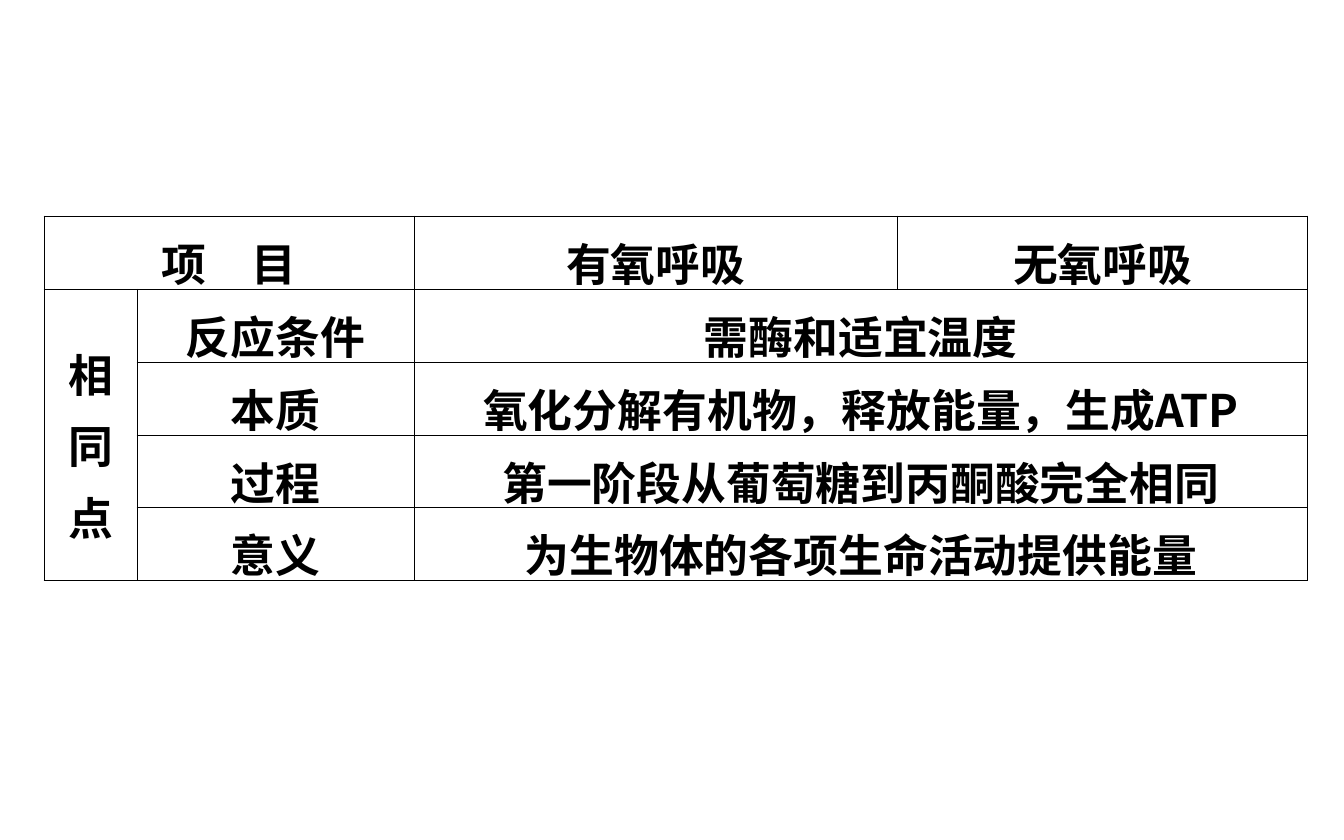
from lxml import etree
from pptx import Presentation
from pptx.dml.color import RGBColor
from pptx.enum import text
from pptx.oxml import ns
from pptx.util import Inches, Pt

BLACK = RGBColor(0x00, 0x00, 0x00)
FONT = "Noto Sans CJK SC"
THIN, THICK = Pt(0.45), Pt(1)

COLUMN_WIDTHS = [0.69, 2.06, 3.6, 3.05]
ROW_HEIGHT = 0.54
HEADINGS = {0: "项　目", 2: "有氧呼吸", 3: "无氧呼吸"}
SHARED_LABEL = "相\n同\n点"
SIMILARITIES = [
    ("反应条件", "需酶和适宜温度"),
    ("本质", "氧化分解有机物，释放能量，生成ATP"),
    ("过程", "第一阶段从葡萄糖到丙酮酸完全相同"),
    ("意义", "为生物体的各项生命活动提供能量"),
]


def set_borders(cell, widths):
    """Draw the cell's edges; widths maps lnL, lnR, lnT, lnB to line widths."""
    properties = cell._tc.get_or_add_tcPr()
    for position, (edge, width) in enumerate(widths.items()):
        line = etree.Element(ns.qn(f"a:{edge}"), w=str(int(width)))
        fill = etree.SubElement(line, ns.qn("a:solidFill"))
        etree.SubElement(fill, ns.qn("a:srgbClr"), val=str(BLACK))
        properties.insert(position, line)


def style_cell(cell):
    cell.fill.background()
    cell.vertical_anchor = text.MSO_ANCHOR.MIDDLE
    # The negative bottom margin keeps the tall lines from stretching the rows.
    cell.margin_top, cell.margin_bottom = Inches(0.05), Inches(-0.04)
    for paragraph in cell.text_frame.paragraphs:
        paragraph.alignment = text.PP_ALIGN.CENTER
        paragraph.line_spacing = 1.1
        for run in paragraph.runs:
            for name, value in {"name": FONT, "size": Pt(24), "bold": True}.items():
                setattr(run.font, name, value)
            run.font.color.rgb = BLACK
            etree.SubElement(run.font._element, ns.qn("a:ea"), typeface=FONT)


def fill_text(table):
    for column, heading in HEADINGS.items():
        table.cell(0, column).text = heading
    table.cell(1, 0).text = SHARED_LABEL
    for row, (aspect, description) in enumerate(SIMILARITIES, start=1):
        table.cell(row, 1).text = aspect
        table.cell(row, 2).text = description


def merge_cells(table):
    table.cell(0, 0).merge(table.cell(0, 1))
    table.cell(1, 0).merge(table.cell(len(SIMILARITIES), 0))
    for row in range(1, len(SIMILARITIES) + 1):
        table.cell(row, 2).merge(table.cell(row, 3))


def add_comparison_table(slide):
    row_count, column_count = len(SIMILARITIES) + 1, len(COLUMN_WIDTHS)
    table = slide.shapes.add_table(
        row_count, column_count, Inches(0.33), Inches(1.61),
        Inches(sum(COLUMN_WIDTHS)), Inches(ROW_HEIGHT * row_count)).table
    table.first_row = table.horz_banding = False
    for column, width in zip(table.columns, COLUMN_WIDTHS):
        column.width = Inches(width)
    for row in table.rows:
        row.height = Inches(ROW_HEIGHT)

    fill_text(table)
    merge_cells(table)
    for row in range(row_count):
        for column in range(column_count):
            cell = table.cell(row, column)
            style_cell(cell)
            right = column + cell.span_width if cell.is_merge_origin else column + 1
            bottom = row + cell.span_height if cell.is_merge_origin else row + 1
            set_borders(cell, {
                "lnL": THICK if column == 0 else THIN,
                "lnR": THICK if right == column_count else THIN,
                "lnT": THICK if row == 0 else THIN,
                "lnB": THICK if bottom == row_count else THIN,
            })


def main():
    presentation = Presentation()
    presentation.slide_width = Inches(10)
    presentation.slide_height = Inches(6.25)
    slide = presentation.slides.add_slide(presentation.slide_layouts[6])
    add_comparison_table(slide)
    presentation.save("out.pptx")


if __name__ == "__main__":
    main()
